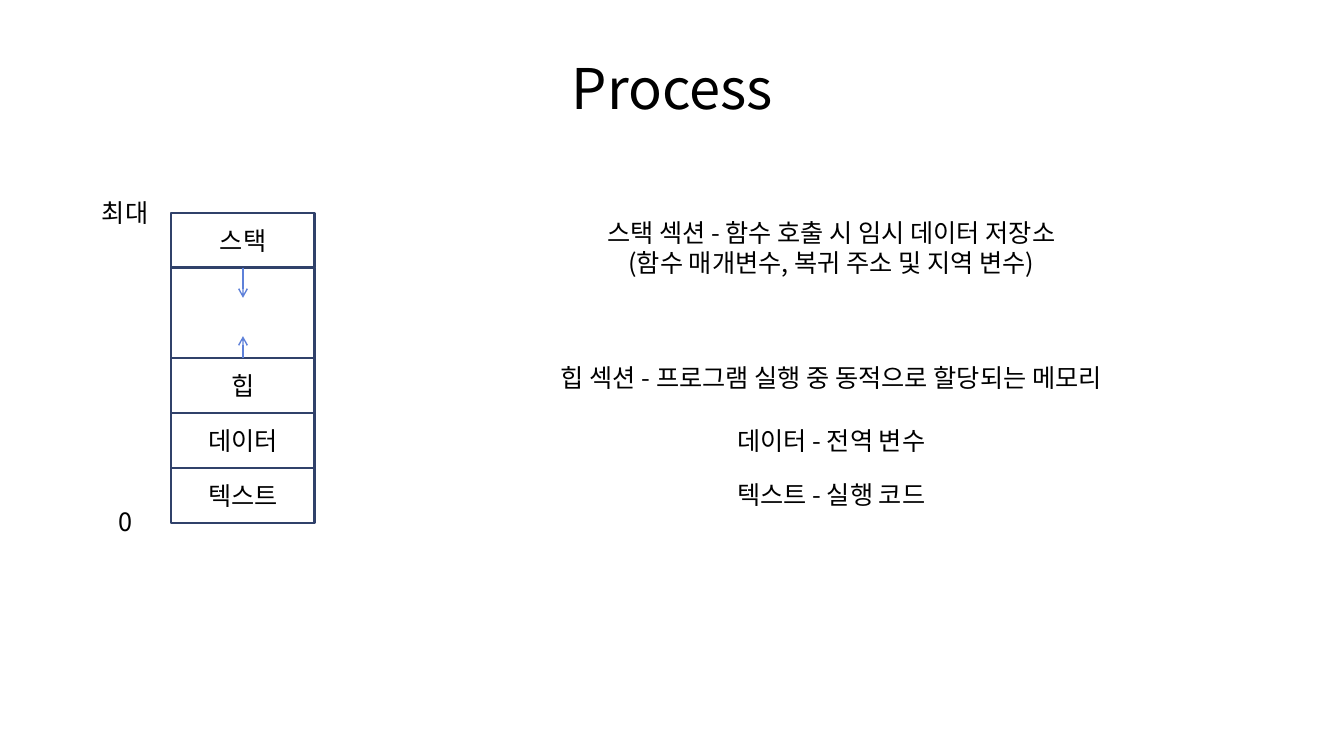
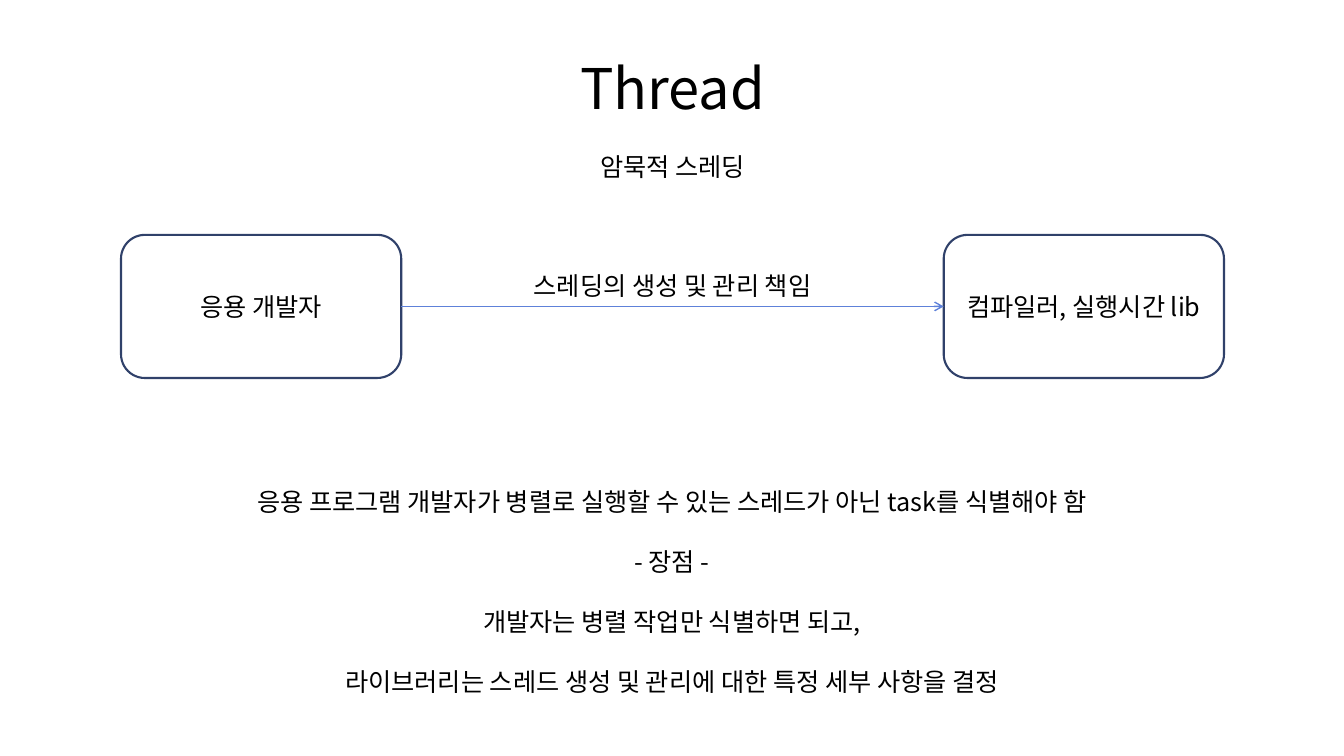
from lxml import etree
from pptx import Presentation
from pptx.dml.color import RGBColor
from pptx.enum import shapes, text
from pptx.oxml.ns import qn
from pptx.util import Inches, Pt

COLORS = {"text": "000000", "fill": "FFFFFF", "outline": "30416A", "arrow": "5E81D9"}
FONT = "Noto Sans CJK KR"
BODY_LEADING = Pt(21.4)

deck = Presentation()
deck.slide_width, deck.slide_height = Inches(13.33), Inches(7.5)


def add_label(slide, box, lines, size=18, outline=None, gap=0):
    """Add centred lines; outline names the preset shape drawn around them, if any."""
    left, top, width, height = (Inches(length) for length in box)
    if outline is None:
        label = slide.shapes.add_textbox(left, top, width, height)
    else:
        label = slide.shapes.add_shape(outline, left, top, width, height)
        label.shadow.inherit = False
        label.fill.solid()
        label.fill.fore_color.rgb = RGBColor.from_string(COLORS["fill"])
        label.line.color.rgb = RGBColor.from_string(COLORS["outline"])
        label.line.width = Pt(1.5)
    frame = label.text_frame
    frame.word_wrap = True
    if outline is not None or size > 18:
        frame.vertical_anchor = text.MSO_ANCHOR.MIDDLE
    frame.text = "\n".join(lines)
    for index, paragraph in enumerate(frame.paragraphs):
        paragraph.alignment = text.PP_ALIGN.CENTER
        paragraph.font.size = Pt(size)
        paragraph.font.name = FONT
        paragraph.font.color.rgb = RGBColor.from_string(COLORS["text"])
        if size == 18:
            paragraph.line_spacing = BODY_LEADING
        if index and gap:
            paragraph.space_before = gap
        for run in paragraph.runs:
            run.font.name = FONT
            east_asian = etree.SubElement(run._r.get_or_add_rPr(), qn("a:ea"))
            east_asian.set("typeface", FONT)


def add_arrow(slide, start, end):
    arrow = slide.shapes.add_connector(
        shapes.MSO_CONNECTOR.STRAIGHT, *(Inches(length) for length in start + end))
    arrow.line.color.rgb = RGBColor.from_string(COLORS["arrow"])
    arrow.line.width = Pt(1)
    etree.SubElement(arrow.line._get_or_add_ln(), qn("a:tailEnd")).set("type", "arrow")
    etree.SubElement(arrow._element.spPr, qn("a:effectLst"))


pages = []
for title in ("Process", "Thread"):
    page = deck.slides.add_slide(deck.slide_layouts[6])
    add_label(page, (2.34, 0.46, 8.66, 0.8), [title], size=40)
    pages.append(page)
process, thread = pages

# Process: memory layout, from the highest address down
memory_left, memory_top, memory_width = 1.7, 2.11, 1.42
section_height, free_height = 0.545, 0.9
section_top = memory_top
for section in ("스택", "", "힙", "데이터", "텍스트"):
    height = section_height if section else free_height
    add_label(process, (memory_left, section_top, memory_width, height), [section],
              outline=shapes.MSO_SHAPE.RECTANGLE)
    section_top += height

memory_middle = memory_left + memory_width / 2
stack_bottom = memory_top + section_height
heap_top = stack_bottom + free_height
add_arrow(process, (memory_middle, heap_top), (memory_middle, heap_top - 0.22))
add_arrow(process, (memory_middle, stack_bottom), (memory_middle, stack_bottom + 0.3))

for top, address in ((1.91, "최대"), (4.98, "0")):
    add_label(process, (0.78, top, 0.92, 0.4), [address])

for top, description in (
    (2.11, ["스택 섹션 - 함수 호출 시 임시 데이터 저장소",
            "(함수 매개변수, 복귀 주소 및 지역 변수)"]),
    (3.55, ["힙 섹션 - 프로그램 실행 중 동적으로 할당되는 메모리"]),
    (4.17, ["데이터 - 전역 변수"]),
    (4.71, ["텍스트 - 실행 코드"]),
):
    add_label(process, (4.88, top, 6.73, 0.1 + 0.3 * len(description)), description)

# Thread: responsibility passes from the developer to the compiler
add_label(thread, (5.07, 1.46, 3.2, 0.4), ["암묵적 스레딩"])
add_label(thread, (4.66, 2.64, 4.02, 0.4), ["스레딩의 생성 및 관리 책임"])
developer_left, compiler_left = 1.2, 9.36
party_top, party_width, party_height = 2.33, 2.78, 1.42
for left, party in ((developer_left, "응용 개발자"),
                    (compiler_left, "컴파일러, 실행시간 lib")):
    add_label(thread, (left, party_top, party_width, party_height), [party],
              outline=shapes.MSO_SHAPE.ROUNDED_RECTANGLE)
party_middle = party_top + party_height / 2
add_arrow(thread, (developer_left + party_width, party_middle),
          (compiler_left, party_middle))

add_label(thread, (1.2, 4.78, 10.93, 2.49), [
    "응용 프로그램 개발자가 병렬로 실행할 수 있는 스레드가 아닌 task를 식별해야 함",
    "- 장점 -",
    "개발자는 병렬 작업만 식별하면 되고,",
    "라이브러리는 스레드 생성 및 관리에 대한 특정 세부 사항을 결정",
], gap=BODY_LEADING)

deck.save("out.pptx")
